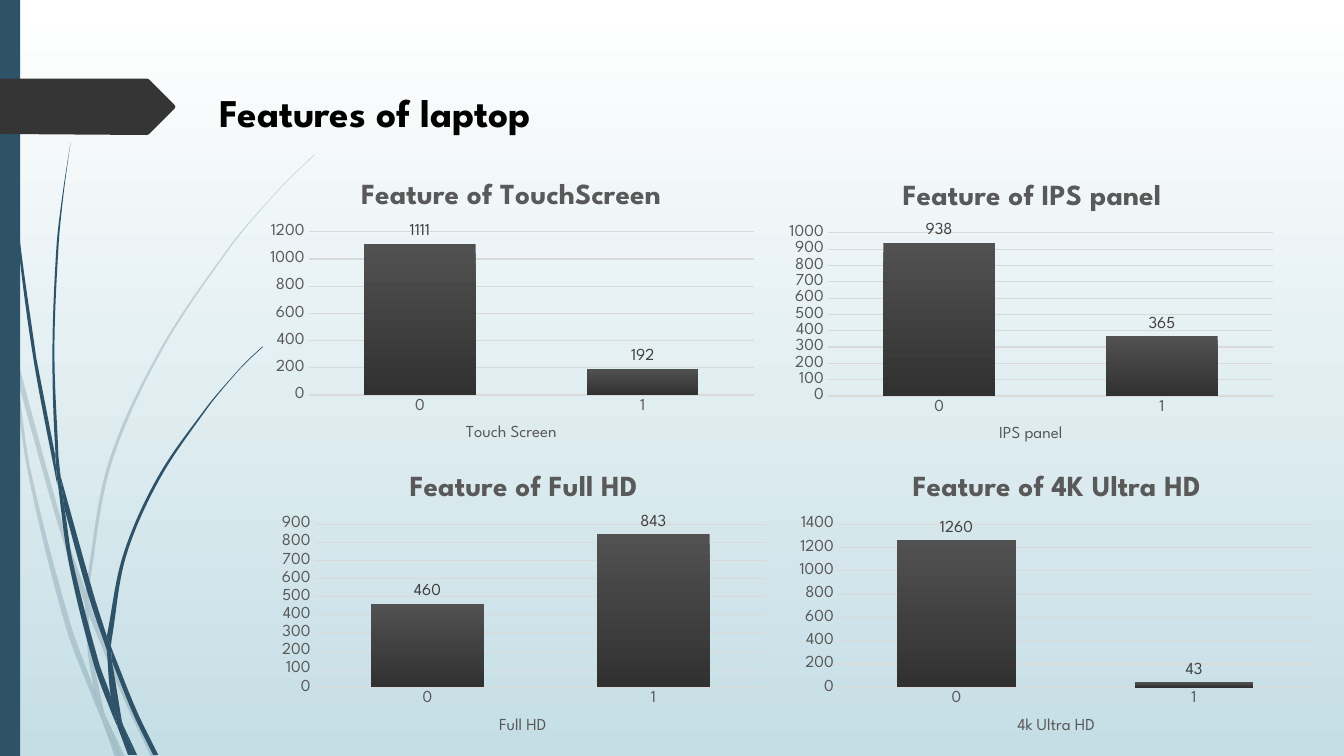
from lxml.etree import SubElement
from math import dist
from pptx import Presentation
from pptx.chart.data import CategoryChartData
from pptx.dml.color import RGBColor
from pptx.enum.chart import XL_CHART_TYPE, XL_LABEL_POSITION, XL_TICK_MARK
from pptx.enum.shapes import MSO_SHAPE
from pptx.enum.text import MSO_ANCHOR, PP_ALIGN
from pptx.oxml import parse_xml
from pptx.oxml.ns import nsdecls, qn
from pptx.util import Inches, Pt

FACE = "League Spartan"
HUE = {
    "white": "FFFFFF", "sky": "C5DEE5", "stem": "2E5369", "tag": "353535",
    "black": "000000", "gray": "595959", "label": "404040", "grid": "D9D9D9",
    "top": "515151", "base": "313131",
}
HEAD = "Features of laptop"
CHARTS = [
    {"title": "Feature of TouchScreen", "axis": "Touch Screen", "vals": (1111, 192),
     "box": (2.57, 1.6, 5, 3), "max": 1200, "step": 200,
     "plot": (0.49, 4.42), "left": (0.96, 2.02)},
    {"title": "Feature of IPS panel", "axis": "IPS panel", "vals": (938, 365),
     "box": (7.73, 1.61, 5, 3), "max": 1000, "step": 100,
     "plot": (0.48, 4.42), "left": (1.17, 2.15)},
    {"title": "Feature of Full HD", "axis": "Full HD", "vals": (460, 843),
     "box": (2.69, 4.5, 5, 3), "max": 900, "step": 100,
     "plot": (0.43, 4.48), "left": (1.32, 2.23)},
    {"title": "Feature of 4K Ultra HD", "axis": "4k Ultra HD", "vals": (1260, 43),
     "box": (7.83, 4.5, 5.3, 3), "max": 1400, "step": 200,
     "plot": (0.48, 4.71), "left": (1.17, 2.23)},
]
PALE = [
    ([(0, 2.82), (0.09, 3.22), (0.11, 3.5)], [(0.1, 3.44), (0, 2.99)]),
    ([(0.14, 3.45), (0.62, 5.2), (0.85, 5.86)], [(0.84, 5.99), (0.58, 5.22), (0.17, 3.76)]),
    ([(0.88, 5.96), (0.92, 6.07), (1.27, 6.92), (1.55, 7.51)],
     [(1.5, 7.51), (1.23, 6.94), (0.88, 6.1)]),
    ([(1.05, 7.11), (1.24, 7.51)], [(1.19, 7.51)]),
    ([(0.11, 3.5), (0.17, 3.76), (0.31, 4.69), (0.7, 6.19), (0.93, 6.83), (0.99, 7.07),
      (1.01, 7.14)], [(0.92, 6.93), (0.65, 6.21), (0.28, 4.7), (0.11, 3.5)]),
    ([(0.84, 5.99), (0.87, 6.46), (0.93, 6.83), (0.96, 6.92), (1.05, 7.11)],
     [(1.03, 7.06), (0.91, 6.46), (0.88, 6.1), (0.88, 6.08)]),
    ([(3.12, 1.53), (2.89, 1.75), (2.68, 1.97), (2.28, 2.44), (1.58, 3.48), (1.07, 4.61),
      (0.85, 5.84)], [(0.85, 5.86), (0.88, 5.96)],
     [(0.88, 5.84), (1.1, 4.62), (1.6, 3.49), (2.29, 2.45), (2.68, 1.98), (2.9, 1.75),
      (3.12, 1.54)]),
    ([(1.01, 7.14), (1.14, 7.51)], [(1.19, 7.51)]),
    ([(0.88, 6.08), (0.88, 6.1)], [(0.88, 5.96), (0.85, 5.86)], [(0.84, 5.99)]),
    ([(0.93, 6.83), (0.99, 7.07), (1.01, 7.14), (1.19, 7.51)],
     [(1.19, 7.51), (1.05, 7.11), (0.96, 6.92)]),
]
DARK = [
    ([(0.03, 0), (0.04, 0.48), (0.07, 1.1), (0.17, 2.33), (0.33, 3.55), (0.56, 4.77),
      (0.57, 4.81)], [(0.55, 4.57), (0.55, 4.53)],
     [(0.36, 3.55), (0.19, 2.32), (0.08, 1.09), (0.05, 0.48), (0.04, 0)]),
    ([(0.6, 4.72), (0.93, 5.9), (1.06, 6.31)], [(1.06, 6.45), (0.88, 5.92), (0.64, 5.05)]),
    ([(1.1, 6.41), (1.13, 6.49), (1.36, 7.06), (1.57, 7.49)],
     [(1.52, 7.49), (1.32, 7.08), (1.11, 6.56)]),
    ([(0.57, 4.77), (0.64, 5.05), (0.72, 5.56), (0.98, 6.57), (1.1, 6.91), (1.16, 7.17)],
     [(1.17, 7.22), (1.11, 7.08), (0.93, 6.59), (0.68, 5.57), (0.57, 4.77)]),
    ([(0.7, 1.41), (0.62, 1.93), (0.56, 2.45), (0.52, 3.49), (0.55, 4.49), (0.6, 4.72)],
     [(0.58, 4.53), (0.54, 3.49), (0.58, 2.45), (0.63, 1.93), (0.7, 1.41)]),
    ([(1.22, 7.19), (1.33, 7.49)], [(1.36, 7.49)]),
    ([(0.55, 4.49), (0.6, 4.72)], [(0.64, 5.05), (0.57, 4.77), (0.55, 4.53)]),
    ([(2.6, 3.44), (2.45, 3.58), (2.31, 3.73), (2.04, 4.05), (1.56, 4.74), (1.22, 5.51),
      (1.06, 6.31)], [(1.1, 6.41)],
     [(1.11, 6.33), (1.25, 5.52), (1.58, 4.76), (2.05, 4.06), (2.31, 3.74), (2.45, 3.59),
      (2.61, 3.44)]),
    ([(1.17, 7.22), (1.27, 7.49)], [(1.31, 7.49)]),
    ([(1.06, 6.45), (1.1, 6.91), (1.16, 7.06), (1.22, 7.19)],
     [(1.21, 7.16), (1.11, 6.56), (1.09, 6.51)]),
    ([(1.06, 6.31), (1.1, 6.41)], [(1.11, 6.56), (1.06, 6.45)]),
    ([(1.1, 6.91), (1.16, 7.17), (1.17, 7.22), (1.3, 7.49)],
     [(1.33, 7.49), (1.22, 7.19), (1.16, 7.06)]),
]
TAG = [(0, 0.78), (1.46, 0.78), (1.48, 0.79), (1.73, 1.04), (1.74, 1.06),
       (1.73, 1.08), (1.48, 1.33), (1.46, 1.34), (0, 1.33)]


def tint(name):
    return RGBColor.from_string(HUE[name])


def style(font, size=12, color="gray", bold=False):
    font.name, font.size, font.bold = FACE, Pt(size), bold
    font.color.rgb = tint(color)


def put(frame, text, **look):
    para = frame.paragraphs[0]
    run = para.add_run()
    run.text = text
    style(run.font, **look)
    return para


def blend(fill, *names):
    fill.gradient()
    fill.gradient_angle = 270
    for spot, (stop, name) in enumerate(zip(fill.gradient_stops, names)):
        stop.color.rgb = tint(name)
        stop.position = spot


def flat(shape, name, alpha=100):
    shape.shadow.inherit = False
    shape.fill.solid()
    shape.fill.fore_color.rgb = tint(name)
    shape.line.fill.background()
    if alpha < 100:
        node = shape.element.xpath("p:spPr/a:solidFill/a:srgbClr")[0]
        SubElement(node, qn("a:alpha")).set("val", str(alpha * 1000))


def trace(dots):
    dots = [(Inches(x), Inches(y)) for x, y in dots]
    pen = slide.shapes.build_freeform(*dots[0], scale=1)
    pen.add_line_segments(dots[1:], close=True)
    return pen.convert_to_shape()


def slope(p, q, r):
    span = dist(p, q) + dist(q, r)
    return [(c - a) / span / 3 for a, c in zip(p, r)]


def bend(sides):
    dots = [sides[0][0]]
    for side in sides:
        if dots[-1] != side[0]:
            dots += [dots[-1], side[0], side[0]]
        ends = [side[0], *side, side[-1]]
        for p, q, r, s in zip(ends, ends[1:], ends[2:], ends[3:]):
            size = dist(q, r)
            dots.append([a + size * k for a, k in zip(q, slope(p, q, r))])
            dots.append([a - size * k for a, k in zip(r, slope(q, r, s))])
            dots.append(r)
    return dots


def grow(sides, alpha):
    shape = trace(bend(sides))
    lines = shape.element.xpath(".//a:lnTo")
    for i in range(0, len(lines) - 2, 3):
        cubic = parse_xml(f'<a:cubicBezTo {nsdecls("a")}/>')
        lines[i].addprevious(cubic)
        for line in lines[i:i + 3]:
            cubic.append(line[0])
            line.getparent().remove(line)
    flat(shape, "stem", alpha)


def place(node, spot, box, **share):
    for old in node.findall(qn("c:layout")):
        node.remove(old)
    mode = '<c:layoutTarget val="inner"/>' if "w" in share else ""
    mode += '<c:xMode val="edge"/><c:yMode val="edge"/>'
    for key, val in share.items():
        mode += f'<c:{key} val="{val / box[2 if key in "xw" else 3]:.4f}"/>'
    node.insert(spot, parse_xml(
        f'<c:layout {nsdecls("c")}><c:manualLayout>{mode}</c:manualLayout></c:layout>'))


def draw(item):
    box = item["box"]
    data = CategoryChartData()
    data.categories = ["0", "1"]
    data.add_series("Series 1", item["vals"])
    chart = slide.shapes.add_chart(
        XL_CHART_TYPE.COLUMN_CLUSTERED, *map(Inches, box), data).chart
    style(chart.font, size=10, color="black")
    chart.has_legend = False
    chart.has_title = True
    put(chart.chart_title.text_frame, item["title"], size=20.8, bold=True)

    cat, val = chart.category_axis, chart.value_axis
    for axis in (cat, val):
        axis.major_tick_mark = axis.minor_tick_mark = XL_TICK_MARK.NONE
        style(axis.tick_labels.font)
    cat.has_title = True
    put(cat.axis_title.text_frame, item["axis"])
    val.minimum_scale, val.maximum_scale = 0, item["max"]
    val.major_unit = item["step"]
    val.has_major_gridlines = True
    val.format.line.fill.background()
    for line, width in ((cat.format.line, 1), (val.major_gridlines.format.line, 0.75)):
        line.color.rgb = tint("grid")
        line.width = Pt(width)

    plot = chart.plots[0]
    plot.gap_width, plot.overlap = 100, -24
    plot.vary_by_categories = False
    bars = plot.series[0]
    blend(bars.format.fill, "top", "base")
    tags = bars.data_labels
    tags.show_value = True
    tags.position = XL_LABEL_POSITION.OUTSIDE_END
    style(tags.font, color="label")

    root = chart.element
    (x, w), (head, foot) = item["plot"], item["left"]
    place(root.xpath("c:chart/c:plotArea")[0], 0, box, x=x, y=0.7, w=w, h=1.62)
    place(root.xpath("c:chart/c:title")[0], 1, box, x=head, y=0.13)
    place(root.xpath("c:chart/c:plotArea/c:catAx/c:title")[0], 1, box, x=foot, y=2.58)


deck = Presentation()
deck.slide_width, deck.slide_height = Inches(13.33), Inches(7.5)
slide = deck.slides.add_slide(deck.slide_layouts[5])
blend(slide.background.fill, "white", "sky")
for group, alpha in ((PALE, 20), (DARK, 100)):
    for sides in group:
        grow(sides, alpha)
bar = slide.shapes.add_shape(MSO_SHAPE.RECTANGLE, 0, 0, Inches(0.2), deck.slide_height)
flat(bar, "stem")
flat(trace(TAG), "tag")
for item in CHARTS:
    draw(item)
title = slide.shapes.title
title.left, title.top, title.width, title.height = map(Inches, (2.08, 0.83, 8.46, 0.57))
title.text_frame.vertical_anchor = MSO_ANCHOR.TOP
put(title.text_frame, HEAD, size=28, color="black", bold=True).alignment = PP_ALIGN.LEFT
deck.save("out.pptx")
